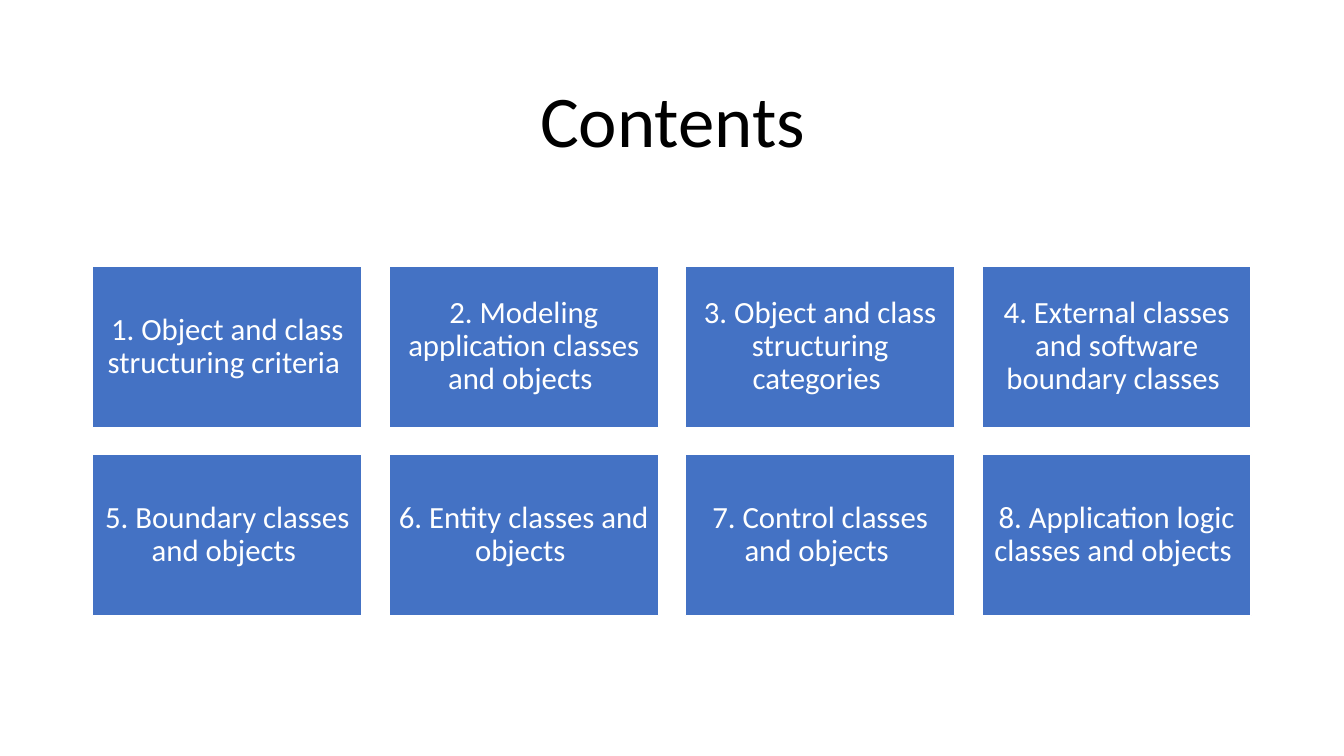
"""Build a contents slide with a title above a four-by-two grid of topic tiles."""
from pptx import Presentation
from pptx import util as u
from pptx.dml.color import RGBColor
from pptx.enum import shapes, text

BLUE = RGBColor(0x44, 0x72, 0xC4)
WHITE = RGBColor(0xFF, 0xFF, 0xFF)
BLACK = RGBColor(0x00, 0x00, 0x00)

COLUMNS = 4
LEFT, TOP = 0.92, 2.64
TILE_WIDTH, TILE_HEIGHT = 2.67, 1.6
GAP = 0.27

TOPICS = [
    "1. Object and class structuring criteria ",
    "2. Modeling application classes and objects ",
    "3. Object and class structuring categories ",
    "4. External classes and software boundary classes ",
    "5. Boundary classes and objects ",
    "6. Entity classes and objects ",
    "7. Control classes and objects ",
    "8. Application logic classes and objects ",
]


def write(frame, wording, size, color, margins):
    """Fill a text frame with one centred paragraph."""
    frame_format = {"word_wrap": True, "vertical_anchor": text.MSO_ANCHOR.MIDDLE, **margins}
    for name, value in frame_format.items():
        setattr(frame, name, value)
    line = frame.paragraphs[0]
    line.text = wording
    line.alignment = text.PP_ALIGN.CENTER
    line.line_spacing = 0.9
    for name, value in {"name": "Calibri", "size": u.Pt(size)}.items():
        setattr(line.font, name, value)
    line.font.color.rgb = color


deck = Presentation()
deck.slide_width, deck.slide_height = u.Inches(13.33), u.Inches(7.5)
slide = deck.slides.add_slide(deck.slide_layouts[6])

heading = slide.shapes.add_textbox(u.Inches(LEFT), u.Inches(0.61), u.Inches(11.5), u.Inches(1.24))
write(heading.text_frame, "Contents", 52, BLACK, {})

tile_margins = {f"margin_{side}": u.Inches(0.09) for side in ("left", "top", "right", "bottom")}
for index, topic in enumerate(TOPICS):
    row, column = divmod(index, COLUMNS)
    tile = slide.shapes.add_shape(
        shapes.MSO_SHAPE.RECTANGLE,
        u.Inches(LEFT + column * (TILE_WIDTH + GAP)),
        u.Inches(TOP + row * (TILE_HEIGHT + GAP)),
        u.Inches(TILE_WIDTH),
        u.Inches(TILE_HEIGHT),
    )
    tile.shadow.inherit = False
    tile.fill.solid()
    tile.fill.fore_color.rgb = BLUE
    tile.line.color.rgb = WHITE
    tile.line.width = u.Pt(1)
    write(tile.text_frame, topic, 22, WHITE, tile_margins)

deck.save("out.pptx")
